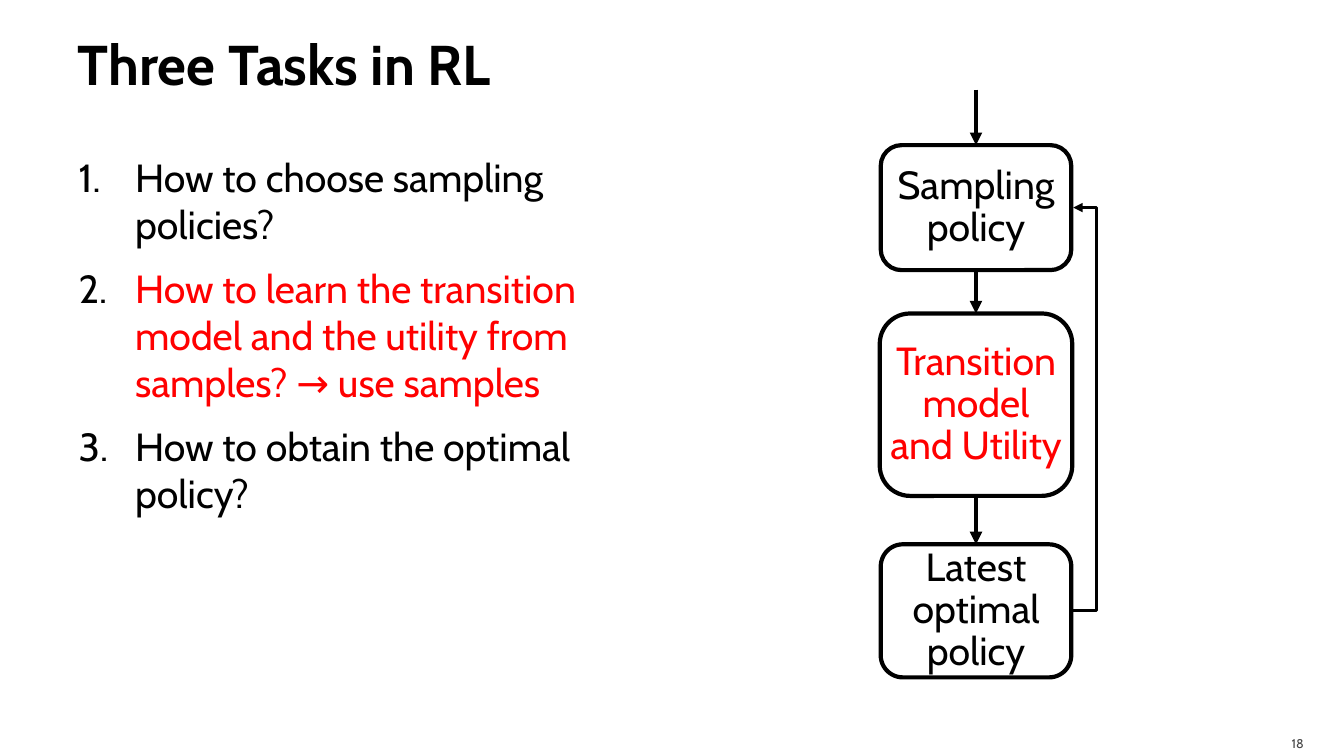
from lxml import etree
from pptx import Presentation, util as u
from pptx.dml import color
from pptx.enum import shapes, text
from pptx.oxml import ns

THEME = {
    "font": "Cabin",
    "black": color.RGBColor(0, 0, 0),
    "red": color.RGBColor(255, 0, 0),
    "grey": color.RGBColor(0x45, 0x45, 0x45),
    "title": u.Pt(40),
    "body": u.Pt(28),
    "number": u.Pt(9),
    "border": u.Pt(3),
    "feedback": u.Pt(2.25),
}


def write(paragraph, words, size, ink="black", bold=False, **layout):
    run = paragraph.add_run()
    run.text = words
    font_format = {"name": THEME["font"], "size": THEME[size], "bold": bold}
    for name, value in font_format.items():
        setattr(run.font, name, value)
    run.font.color.rgb = THEME[ink]
    for name, value in layout.items():
        setattr(paragraph, name, value)


def finish_arrow(connector, width):
    connector.line.width = THEME[width]
    connector.line.color.rgb = THEME["black"]
    etree.SubElement(connector.line._get_or_add_ln(), ns.qn("a:tailEnd"), type="triangle")
    etree.SubElement(connector._element.spPr, ns.qn("a:effectLst"))


presentation = Presentation()
presentation.slide_width = u.Inches(13.33)
presentation.slide_height = u.Inches(7.5)
slide = presentation.slides.add_slide(presentation.slide_layouts[1])
title, body = slide.placeholders
number = slide.shapes.add_textbox(0, 0, 0, 0)

text_areas = [
    (title, (0.67, 0.17, 12, 0.92), (0.1, 0.05, 0.05, 0.05), text.MSO_ANCHOR.MIDDLE),
    (body, (0.67, 1.42, 5.89, 6.02), (0.1, 0.1, 0.1, 0.05), text.MSO_ANCHOR.TOP),
    (number, (11.96, 7.2, 1.07, 0.3), (0.1, 0.05, 0.1, 0), text.MSO_ANCHOR.MIDDLE),
]
for shape, place, margins, anchor in text_areas:
    for name, value in zip(("left", "top", "width", "height"), place):
        setattr(shape, name, u.Inches(value))
    frame_format = {"word_wrap": True, "auto_size": text.MSO_AUTO_SIZE.NONE, "vertical_anchor": anchor}
    for side, value in zip(("left", "top", "right", "bottom"), margins):
        frame_format[f"margin_{side}"] = u.Inches(value)
    for name, value in frame_format.items():
        setattr(shape.text_frame, name, value)

write(title.text_frame.paragraphs[0], "Three Tasks in RL", "title", bold=True,
      alignment=text.PP_ALIGN.LEFT)
write(number.text_frame.paragraphs[0], "18", "number", "grey", alignment=text.PP_ALIGN.RIGHT)

tasks = [
    ("How to choose sampling policies?", "black"),
    ("How to learn the transition model and the utility from samples? → use samples", "red"),
    ("How to obtain the optimal policy?", "black"),
]
for index, (words, ink) in enumerate(tasks):
    frame = body.text_frame
    paragraph = frame.add_paragraph() if index else frame.paragraphs[0]
    write(paragraph, words, "body", ink, space_before=u.Pt(6), space_after=u.Pt(6))
    properties = paragraph._p.get_or_add_pPr()
    properties.set("marL", str(u.Inches(0.57)))
    properties.set("indent", str(u.Inches(-0.56)))
    bullet_color = etree.SubElement(properties, ns.qn("a:buClr"))
    etree.SubElement(bullet_color, ns.qn("a:srgbClr"), val=str(THEME["black"]))
    etree.SubElement(properties, ns.qn("a:buFont"), typeface=THEME["font"])
    etree.SubElement(properties, ns.qn("a:buAutoNum"), type="arabicPeriod")

center = u.Inches(9.68)
steps = [
    ("Sampling policy", "black", 1.44, 1.89, 1.24),
    ("Transition model and Utility", "red", 3.11, 1.91, 1.81),
    ("Latest optimal policy", "black", 5.4, 1.89, 1.32),
]
boxes = []
for words, ink, top, width, height in steps:
    box = slide.shapes.add_shape(
        shapes.MSO_SHAPE.ROUNDED_RECTANGLE, center - u.Inches(width / 2),
        u.Inches(top), u.Inches(width), u.Inches(height))
    box.shadow.inherit = False
    box.fill.background()
    box.line.color.rgb = THEME["black"]
    box.line.width = THEME["border"]
    frame_format = {"word_wrap": True, "vertical_anchor": text.MSO_ANCHOR.MIDDLE,
                    "margin_left": 0, "margin_top": 0, "margin_right": 0, "margin_bottom": 0}
    for name, value in frame_format.items():
        setattr(box.text_frame, name, value)
    write(box.text_frame.paragraphs[0], words, "body", ink,
          alignment=text.PP_ALIGN.CENTER, line_spacing=0.9)
    boxes.append(box)

for source, target in zip([None] + boxes, boxes):
    arrow = slide.shapes.add_connector(
        shapes.MSO_CONNECTOR.STRAIGHT, center, u.Inches(0.89), center, target.top)
    if source:
        arrow.begin_connect(source, 2)
    arrow.end_connect(target, 0)
    finish_arrow(arrow, "border")

feedback = slide.shapes.add_connector(shapes.MSO_CONNECTOR.ELBOW, 0, 0, 0, 0)
feedback.begin_connect(boxes[-1], 3)
feedback.end_connect(boxes[0], 3)
feedback.end_x = feedback.begin_x + u.Inches(0.02)
bend = round(u.Inches(0.25) / feedback.width * 100000)
guides = feedback._element.spPr.find(ns.qn("a:prstGeom")).get_or_add_avLst()
etree.SubElement(guides, ns.qn("a:gd"), name="adj1", fmla=f"val {bend}")
finish_arrow(feedback, "feedback")

presentation.save("out.pptx")
